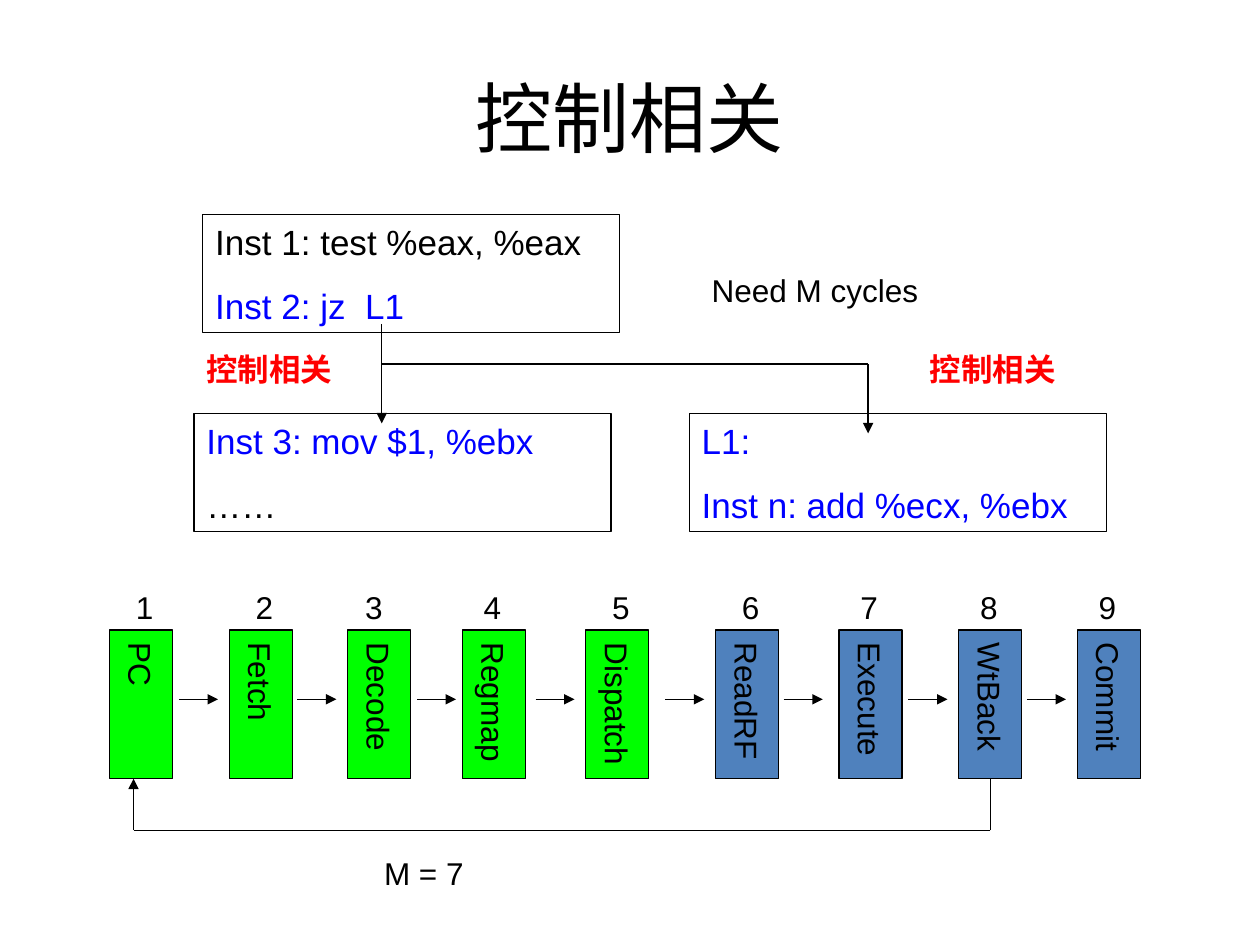
from dataclasses import dataclass
from itertools import pairwise
from lxml.etree import SubElement
from pptx import Presentation
from pptx.dml.color import RGBColor
from pptx.enum.shapes import MSO_CONNECTOR, MSO_SHAPE
from pptx.enum.text import MSO_ANCHOR, PP_ALIGN
from pptx.oxml.ns import qn
from pptx.util import Inches, Pt


@dataclass(frozen=True)
class Theme:
    black: str = "000000"
    blue: str = "0000FF"
    red: str = "FF0000"
    front: str = "00FF00"
    back: str = "4F81BD"
    font: str = "Arial"
    title_font: str = "Calibri"
    title: int = 44
    code: int = 20
    label: int = 18
    line: float = 0.75
    code_gap: float = 12.5


T = Theme()
COLS, ROWS = 100, 75

TITLE = "控制相关"
CODE_SIZE = (33.1, 9.4)
CODE = [
    (16.1, 17, [("Inst 1: test %eax, %eax", T.black), ("Inst 2: jz  L1", T.blue)]),
    (15.4, 32.8, [("Inst 3: mov $1, %ebx", T.blue), ("……", T.black)]),
    (54.7, 32.8, [("L1:", T.blue), ("Inst n: add %ecx, %ebx", T.blue)]),
]
LABELS = [
    ("控制相关", 15.4, 27.3, 12.6, T.red, True),
    ("控制相关", 72.8, 27.3, 12.6, T.red, True),
    ("Need M cycles", 55.5, 21, 27.6, T.black, False),
    ("M = 7", 29.5, 67.3, 9.4, T.black, False),
]
LABEL_H = 4
STAGES = [
    ("PC", 8.7, 9.8, T.front),
    ("Fetch", 18.2, 19.3, T.front),
    ("Decode", 27.6, 28, T.front),
    ("Regmap", 36.7, 37.4, T.front),
    ("Dispatch", 46.5, 47.6, T.front),
    ("ReadRF", 56.8, 57.9, T.back),
    ("Execute", 66.6, 67.3, T.back),
    ("WtBack", 76.1, 76.8, T.back),
    ("Commit", 85.5, 86.2, T.back),
]
STAGE_TOP, STAGE_W, STAGE_H = 50, 5, 11.8
NUMBER_TOP, NUMBER_W = 46.2, 3.2
ARROW_STARTS = [14.2, 23.6, 33.1, 42.5, 52.8, 62.2, 72.1, 81.5]
ARROW_W, ARROW_Y = 3.1, 55.5
BRANCH = [
    ((30.3, 25.7), (30.3, 33.6), True),
    ((30.3, 28.9), (68.9, 28.9), False),
    ((68.9, 28.9), (68.9, 34.4), True),
]
RETURN_X, RETURN_Y = 10.6, 65.9

prs = Presentation()
prs.slide_width, prs.slide_height = Inches(10), Inches(7.5)
slide = prs.slides.add_slide(prs.slide_layouts[6])


def col(n):
    return round(prs.slide_width * n / COLS)


def row(n):
    return round(prs.slide_height * n / ROWS)


def place(x, y, w, h):
    return col(x), row(y), col(w), row(h)


def write(sp, lines, size, font=T.font, bold=False, align=PP_ALIGN.LEFT, gap=0.0):
    tf = sp.text_frame
    tf.word_wrap = True
    tf.text = "\n".join(text for text, _ in lines)
    for i, (p, (_, color)) in enumerate(zip(tf.paragraphs, lines)):
        p.alignment = align
        p.space_before = Pt(gap if i else 0)
        f = p.runs[0].font
        f.name, f.size, f.bold = font, Pt(size), bold
        f.color.rgb = RGBColor.from_string(color)
    return tf


def add_text(box, text, size, color=T.black, **style):
    sp = slide.shapes.add_textbox(*place(*box))
    return write(sp, [(text, color)], size, **style)


def add_box(box, fill=None):
    sp = slide.shapes.add_shape(MSO_SHAPE.RECTANGLE, *place(*box))
    sp.shadow.inherit = False
    if fill:
        sp.fill.solid()
        sp.fill.fore_color.rgb = RGBColor.from_string(fill)
    else:
        sp.fill.background()
    sp.line.color.rgb = RGBColor.from_string(T.black)
    sp.line.width = Pt(T.line)
    return sp


def add_line(start, end, arrow=False):
    (x1, y1), (x2, y2) = start, end
    cx = slide.shapes.add_connector(
        MSO_CONNECTOR.STRAIGHT, col(x1), row(y1), col(x2), row(y2))
    cx.line.color.rgb = RGBColor.from_string(T.black)
    cx.line.width = Pt(T.line)
    if arrow:
        SubElement(cx.line._get_or_add_ln(), qn("a:tailEnd"), type="triangle")
    SubElement(cx._element.spPr, qn("a:effectLst"))
    return cx


tf = add_text((5, 3, 90, 12.5), TITLE, T.title, font=T.title_font, align=PP_ALIGN.CENTER)
tf.vertical_anchor = MSO_ANCHOR.MIDDLE

for x, y, lines in CODE:
    tf = write(add_box((x, y, *CODE_SIZE)), lines, T.code, gap=T.code_gap)
    tf.vertical_anchor = MSO_ANCHOR.TOP

for text, x, y, w, color, bold in LABELS:
    add_text((x, y, w, LABEL_H), text, T.label, color, bold=bold)

for start, end, arrow in BRANCH:
    add_line(start, end, arrow)

stages = {}
for number, (name, x, number_x, fill) in enumerate(STAGES, 1):
    sp = add_box((x, STAGE_TOP, STAGE_W, STAGE_H), fill)
    tf = write(sp, [(name, T.black)], T.label)
    tf.vertical_anchor = MSO_ANCHOR.MIDDLE
    tf.margin_left = tf.margin_right = Inches(0.05)
    tf.margin_top = tf.margin_bottom = Inches(0.1)
    tf._txBody.bodyPr.set("vert", "eaVert")
    stages[name] = (sp, x + STAGE_W / 2)
    add_text((number_x, NUMBER_TOP, NUMBER_W, LABEL_H), str(number), T.label)

for x in ARROW_STARTS:
    add_line((x, ARROW_Y), (x + ARROW_W, ARROW_Y), True)

wt_back, wt_back_x = stages["WtBack"]
stage_bottom = STAGE_TOP + STAGE_H
corners = [(wt_back_x, stage_bottom), (wt_back_x, RETURN_Y),
           (RETURN_X, RETURN_Y), (RETURN_X, stage_bottom)]
route = [add_line(a, b, b == corners[-1]) for a, b in pairwise(corners)]
route[0].begin_connect(wt_back, 2)

prs.save("out.pptx")
